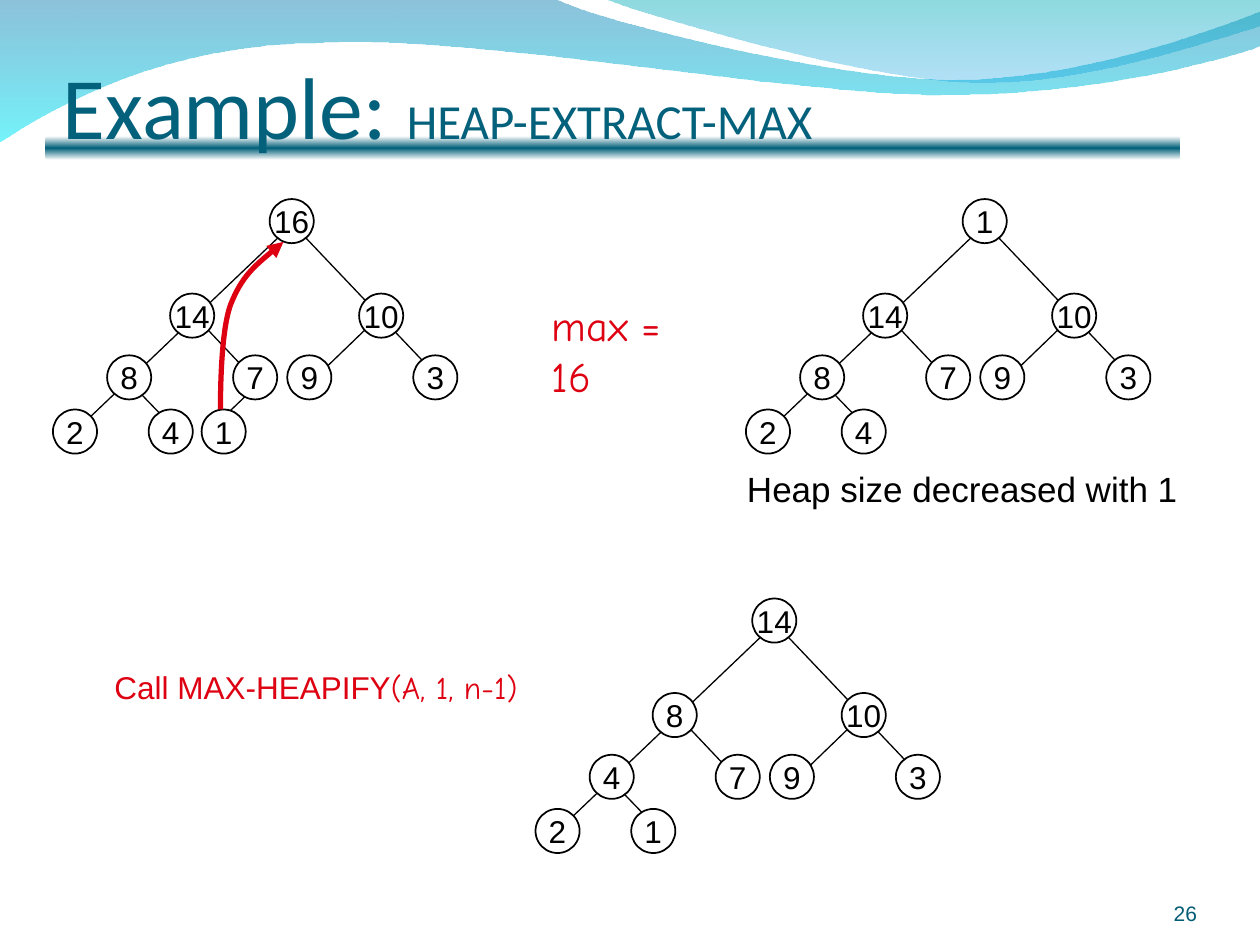
from lxml import etree
from pptx import Presentation
from pptx.dml.color import RGBColor
from pptx.enum.dml import MSO_FILL
from pptx.enum.shapes import MSO_CONNECTOR, MSO_SHAPE
from pptx.enum.text import MSO_ANCHOR, PP_ALIGN
from pptx.oxml.ns import qn
from pptx.util import Inches, Pt

OVAL, ROUND_RECT = MSO_SHAPE.OVAL, MSO_SHAPE.ROUNDED_RECTANGLE
STRAIGHT = MSO_CONNECTOR.STRAIGHT
TOP, MIDDLE, BOTTOM = MSO_ANCHOR.TOP, MSO_ANCHOR.MIDDLE, MSO_ANCHOR.BOTTOM
LEFT, CENTER, RIGHT = PP_ALIGN.LEFT, PP_ALIGN.CENTER, PP_ALIGN.RIGHT


class Theme:
    black, white, red = "000000", "FFFFFF", "DD0111"
    title, number = "04617B", "045C75"
    # gradient stops: position %, colour, opacity %
    wave_back = [(0, "0079AF", 45), (100, "00EBF8", 55)]
    wave_front = [(0, "00ADB6", 45), (100, "009BE5", 30)]
    rule = [(0, white, 100), (50, title, 100), (100, white, 100)]
    heading, body, hand = "Calibri", "Arial", "Comic Neue"
    title_size, subtitle_size = 50, 28
    max_size, note_size, label_size, number_size = 24, 20, 18, 12


# Outlines: a start point, then segments of one point (line) or three (curve)
WAVE_BACK = [(0, -0.01), [(4.4, -0.01)],
             [(4.76, 0.17), (6.64, 0.63), (7.58, 0.63)],
             [(8.53, 0.63), (9.58, 0.26), (10, 0.09)],
             [(10.01, 0.36)],
             [(9.83, 0.44), (8.7, 0.76), (7.46, 0.75)],
             [(6.22, 0.75), (3.82, 0.28), (2.57, 0.34)],
             [(1.29, 0.35), (0.46, 0.83), (-0.01, 1.13)]]
WAVE_FRONT = [(4.79, -0.01),
              [(5.09, 0.11), (6.82, 0.62), (7.69, 0.65)],
              [(8.56, 0.69), (9.61, 0.32), (10, 0.21)],
              [(10, 0)]]
MOVE_ARROW = [(2.25, 1.92),
              [(2.08, 2.06), (1.92, 2.19), (1.83, 2.42)],
              [(1.75, 2.64), (1.75, 3.15), (1.75, 3.25)]]

# Heaps: top-left corner and keys in array order
HEAPS = [((0.42, 1.58), [16, 14, 10, 8, 7, 9, 3, 2, 4, 1]),
         ((5.92, 1.58), [1, 14, 10, 8, 7, 9, 3, 2, 4]),
         ((4.25, 4.75), [14, 8, 10, 4, 7, 9, 3, 2, 1])]
NODE_SIZE = 0.35
LEVEL_TOPS = [0, 0.75, 1.24, 1.67]
LEVEL_LEFTS = [[1.72], [0.93, 2.43], [0.43, 1.43, 1.86, 2.86], [0, 0.76, 1.18]]
SLOTS = [(x, y) for y, row in zip(LEVEL_TOPS, LEVEL_LEFTS) for x in row]
# Branches run behind the nodes; the last one belongs to the tenth key
BRANCHES = [((2.05, 1.45), (2.61, 0.91)), ((1.03, 1.89), (0.49, 1.33)),
            ((1.62, 1.45), (1.09, 0.89)), ((3.13, 1.49), (1.8, 0.09)),
            ((0.18, 1.84), (1.93, 0.17)), ((1.24, 1.84), (1.69, 1.41))]

# Texts: box, anchor, alignment, margins, wrap, runs (text, font, size, colour)
INSET = (0.1, 0.05, 0.1, 0.05)
TEXTS = [
    ((0.5, 0, 9, 1.25), BOTTOM, LEFT, (0, 0.05, 0, 0), True,
     [("Example: ", Theme.heading, Theme.title_size, Theme.title),
      ("HEAP-EXTRACT-MAX", Theme.heading, Theme.subtitle_size, Theme.title)]),
    ((8.67, 6.95, 0.83, 0.4), BOTTOM, RIGHT, (0, 0, 0, 0), True,
     [("26", Theme.body, Theme.number_size, Theme.number)]),
    ((4.28, 2.33, 1.49, 0.5), TOP, LEFT, INSET, False,
     [("max = 16", Theme.hand, Theme.max_size, Theme.red)]),
    ((5.83, 3.66, 3.62, 0.44), TOP, LEFT, INSET, False,
     [("Heap size decreased with 1", Theme.body, Theme.note_size, Theme.black)]),
    ((0.81, 5.25, 3.4, 0.4), TOP, LEFT, INSET, False,
     [("Call MAX-HEAPIFY", Theme.body, Theme.label_size, Theme.red),
      ("(A, 1, n-1)", Theme.hand, Theme.label_size, Theme.red)]),
]


def inches(values):
    return [Inches(v) for v in values]


def set_line(shape, color, width):
    shape.line.color.rgb = RGBColor.from_string(color)
    shape.line.width = Pt(width)


def set_gradient(shape, stops):
    """Fill from top to bottom with any number of stops."""
    shape.fill.gradient()
    shape.fill.gradient_angle = 270
    stop_list = shape.element.spPr.find(".//" + qn("a:gsLst"))
    for old in list(stop_list):
        stop_list.remove(old)
    for pos, color, opacity in stops:
        gs = etree.SubElement(stop_list, qn("a:gs"), pos=str(pos * 1000))
        clr = etree.SubElement(gs, qn("a:srgbClr"), val=color)
        if opacity < 100:
            etree.SubElement(clr, qn("a:alpha"), val=str(opacity * 1000))
    shape.line.fill.background()


def add_outline(shapes, outline, close):
    """Build a freeform, then join each three-point segment into a curve."""
    start, *segments = outline
    builder = shapes.build_freeform(*inches(start), scale=1.0)
    points = [inches(pt) for seg in segments for pt in seg]
    builder.add_line_segments(points, close=close)
    shape = builder.convert_to_shape()
    shape.shadow.inherit = False
    lines = iter(shape.element.findall(".//" + qn("a:lnTo")))
    for seg in segments:
        parts = [next(lines) for _ in seg]
        if len(parts) == 3:
            curve = etree.Element(qn("a:cubicBezTo"))
            parts[0].addprevious(curve)
            for part in parts:
                curve.append(part[0])
                part.getparent().remove(part)
    return shape


def write(shape, anchor, align, margins, wrap, runs):
    tf = shape.text_frame
    tf.word_wrap, tf.vertical_anchor = wrap, anchor
    (tf.margin_left, tf.margin_top,
     tf.margin_right, tf.margin_bottom) = inches(margins)
    p = tf.paragraphs[0]
    p.alignment = align
    for text, font, size, color in runs:
        r = p.add_run()
        r.text = text
        r.font.name, r.font.size = font, Pt(size)
        r.font.color.rgb = RGBColor.from_string(color)


def add_heap(shapes, origin, keys):
    group = shapes.add_group_shape().shapes
    left, top = origin
    branches = BRANCHES if len(keys) == len(SLOTS) else BRANCHES[:-1]
    for (x1, y1), (x2, y2) in branches:
        ends = inches((left + x1, top + y1, left + x2, top + y2))
        branch = group.add_connector(STRAIGHT, *ends)
        set_line(branch, Theme.black, 0.75)
        etree.SubElement(branch.element.spPr, qn("a:effectLst"))
    for key, (x, y) in zip(keys, SLOTS):
        box = inches((left + x, top + y, NODE_SIZE, NODE_SIZE))
        node = group.add_shape(OVAL, *box)
        node.shadow.inherit = False
        node.fill.solid()
        node.fill.fore_color.rgb = RGBColor.from_string(Theme.white)
        set_line(node, Theme.black, 1)
        write(node, MIDDLE, CENTER, INSET, False,
              [(str(key), Theme.body, Theme.label_size, Theme.black)])


def main():
    prs = Presentation()
    prs.slide_width, prs.slide_height = inches((10, 7.5))
    shapes = prs.slides.add_slide(prs.slide_layouts[6]).shapes

    for outline, stops in ((WAVE_BACK, Theme.wave_back),
                           (WAVE_FRONT, Theme.wave_front)):
        set_gradient(add_outline(shapes, outline, close=True), stops)
    rule = shapes.add_shape(ROUND_RECT, *inches((0.36, 1.08, 9.01, 0.19)))
    rule.shadow.inherit = False
    set_gradient(rule, Theme.rule)

    for origin, keys in HEAPS:
        add_heap(shapes, origin, keys)

    arrow = add_outline(shapes, MOVE_ARROW, close=False)
    arrow.fill.background()
    set_line(arrow, Theme.red, 3)
    etree.SubElement(arrow.line._get_or_add_ln(), qn("a:headEnd"), type="triangle")

    for box, *style in TEXTS:
        write(shapes.add_textbox(*inches(box)), *style)

    prs.save("out.pptx")


if __name__ == "__main__":
    main()
